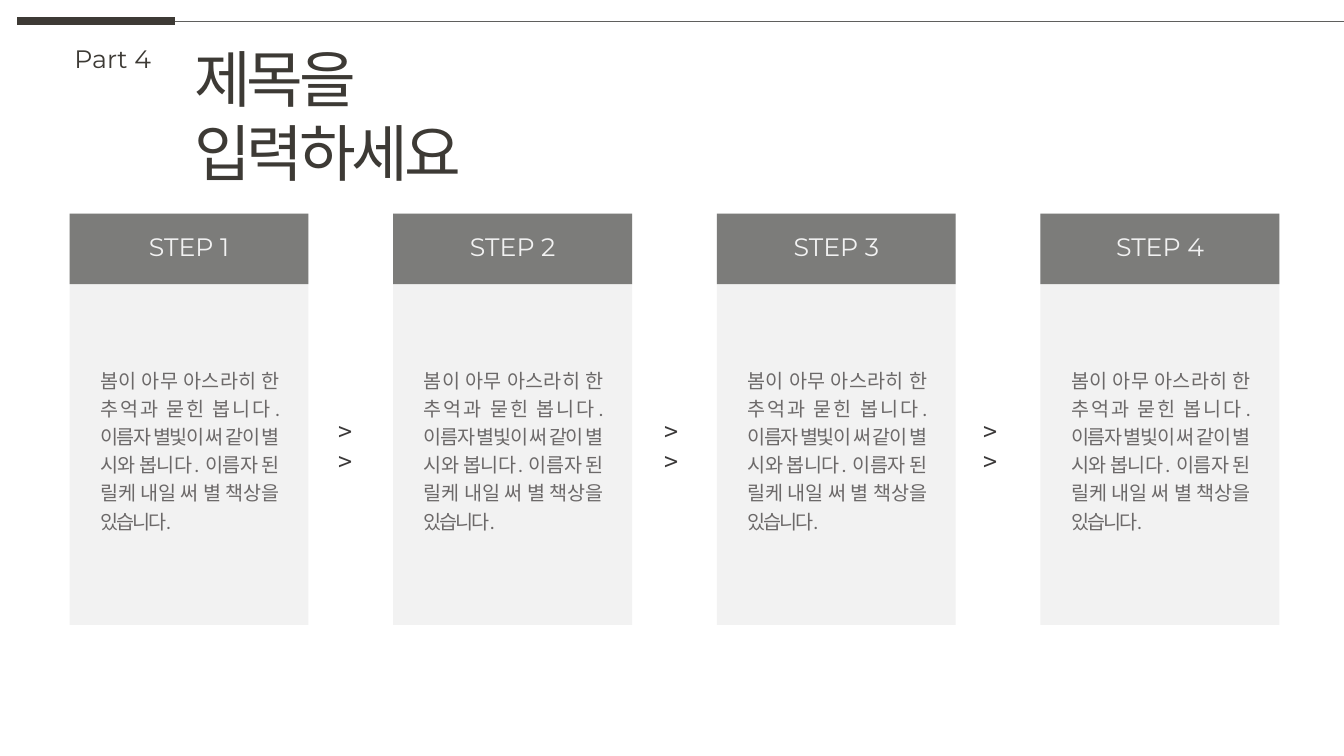
"""Builds a four-step process slide with header cards and chevron separators."""
from dataclasses import dataclass

from lxml import etree
from pptx import Presentation
from pptx.dml.color import RGBColor
from pptx.enum.shapes import MSO_CONNECTOR, MSO_SHAPE
from pptx.enum.text import PP_ALIGN
from pptx.oxml.ns import qn
from pptx.slide import Slide
from pptx.util import Inches, Pt

STRAIGHT = MSO_CONNECTOR.STRAIGHT
RECTANGLE = MSO_SHAPE.RECTANGLE
LEFT, CENTER, JUSTIFY = PP_ALIGN.LEFT, PP_ALIGN.CENTER, PP_ALIGN.JUSTIFY

SLIDE_WIDTH, SLIDE_HEIGHT = 13.33, 7.5
STEP_COUNT = 4
COLUMN_LEFT, COLUMN_PITCH, CARD_WIDTH = 0.69, 3.21, 2.37
CARD_TOP, CARD_HEIGHT, HEADER_HEIGHT = 2.12, 4.08, 0.7
LABEL_WIDTH, BODY_WIDTH = 1.09, 1.96
RULE_TOP, RULE_SPLIT = 0.21, 1.74
SEPARATOR_LEFTS = (3.26, 6.49, 9.66)

INK, PALE, HEADER_GREY = "3D3A35", "F2F2F2", "7C7C7A"
BODY_TEXT = (
    "봄이 아무 아스라히 한 추억과 묻힌 봅니다. 이름자 별빛이 써 같이 별 시와 봅니다. "
    "이름자 된 릴케 내일 써 별 책상을 있습니다."
)


@dataclass(frozen=True)
class Box:
    left: float
    top: float
    width: float
    height: float


@dataclass(frozen=True)
class TextStyle:
    size: float
    color: str
    font: str = "Montserrat"
    align: PP_ALIGN = LEFT
    tracking: float = 0
    line_spacing: float = 1.0
    wrap: bool = True


TITLE = TextStyle(44, INK, tracking=-3)
PART = TextStyle(18, INK)
LABEL = TextStyle(18, PALE, align=CENTER, wrap=False)
SEPARATOR = TextStyle(18, "3A3838", "Noto Sans CJK KR")
BODY = TextStyle(14, "6C6969", "Calibri", JUSTIFY, -1.5, 1.2)


def rgb(value: str) -> RGBColor:
    return RGBColor.from_string(value)


def add_rule(slide: Slide, start: float, end: float, color: str, weight: float) -> None:
    connector = slide.shapes.add_connector(
        STRAIGHT, Inches(start), Inches(RULE_TOP), Inches(end), Inches(RULE_TOP)
    )
    connector.line.color.rgb = rgb(color)
    connector.line.width = Pt(weight)
    etree.SubElement(connector._element.spPr, qn("a:effectLst"))


def add_panel(slide: Slide, box: Box, color: str) -> None:
    shape = slide.shapes.add_shape(
        RECTANGLE, Inches(box.left), Inches(box.top), Inches(box.width), Inches(box.height)
    )
    shape.shadow.inherit = False
    shape.fill.solid()
    shape.fill.fore_color.rgb = rgb(color)
    shape.line.fill.background()


def add_text(slide: Slide, box: Box, text: str, style: TextStyle) -> None:
    shape = slide.shapes.add_textbox(
        Inches(box.left), Inches(box.top), Inches(box.width), Inches(box.height)
    )
    shape.text_frame.word_wrap = style.wrap
    paragraph = shape.text_frame.paragraphs[0]
    paragraph.alignment = style.align
    paragraph.line_spacing = style.line_spacing
    paragraph.font.name = style.font
    paragraph.font.size = Pt(style.size)
    paragraph.font.color.rgb = rgb(style.color)
    run = paragraph.add_run()
    run.text = text
    if style.tracking:
        run._r.get_or_add_rPr().set("spc", str(int(style.tracking * 100)))


def add_step(slide: Slide, index: int) -> None:
    left = COLUMN_LEFT + index * COLUMN_PITCH
    label_left = left + (CARD_WIDTH - LABEL_WIDTH) / 2
    body_left = left + (CARD_WIDTH - BODY_WIDTH) / 2
    add_panel(slide, Box(left, CARD_TOP, CARD_WIDTH, CARD_HEIGHT), PALE)
    add_panel(slide, Box(left, CARD_TOP, CARD_WIDTH, HEADER_HEIGHT), HEADER_GREY)
    add_text(slide, Box(label_left, 2.25, LABEL_WIDTH, 0.43), f"STEP {index + 1}", LABEL)
    add_text(slide, Box(body_left, 3.56, BODY_WIDTH, 1.77), BODY_TEXT, BODY)


def main() -> None:
    presentation = Presentation()
    presentation.slide_width = Inches(SLIDE_WIDTH)
    presentation.slide_height = Inches(SLIDE_HEIGHT)
    slide = presentation.slides.add_slide(presentation.slide_layouts[6])

    add_rule(slide, 0.17, RULE_SPLIT, INK, 6)
    add_rule(slide, RULE_SPLIT, SLIDE_WIDTH, "5F5F5D", 0.5)
    add_text(slide, Box(1.83, 0.36, 4.26, 0.84), "제목을 입력하세요", TITLE)
    add_text(slide, Box(0.64, 0.38, 0.99, 0.4), "Part 4", PART)
    for index in range(STEP_COUNT):
        add_step(slide, index)
    for left in SEPARATOR_LEFTS:
        add_text(slide, Box(left, 4.08, 0.45, 0.43), ">>", SEPARATOR)

    presentation.save("out.pptx")


if __name__ == "__main__":
    main()
